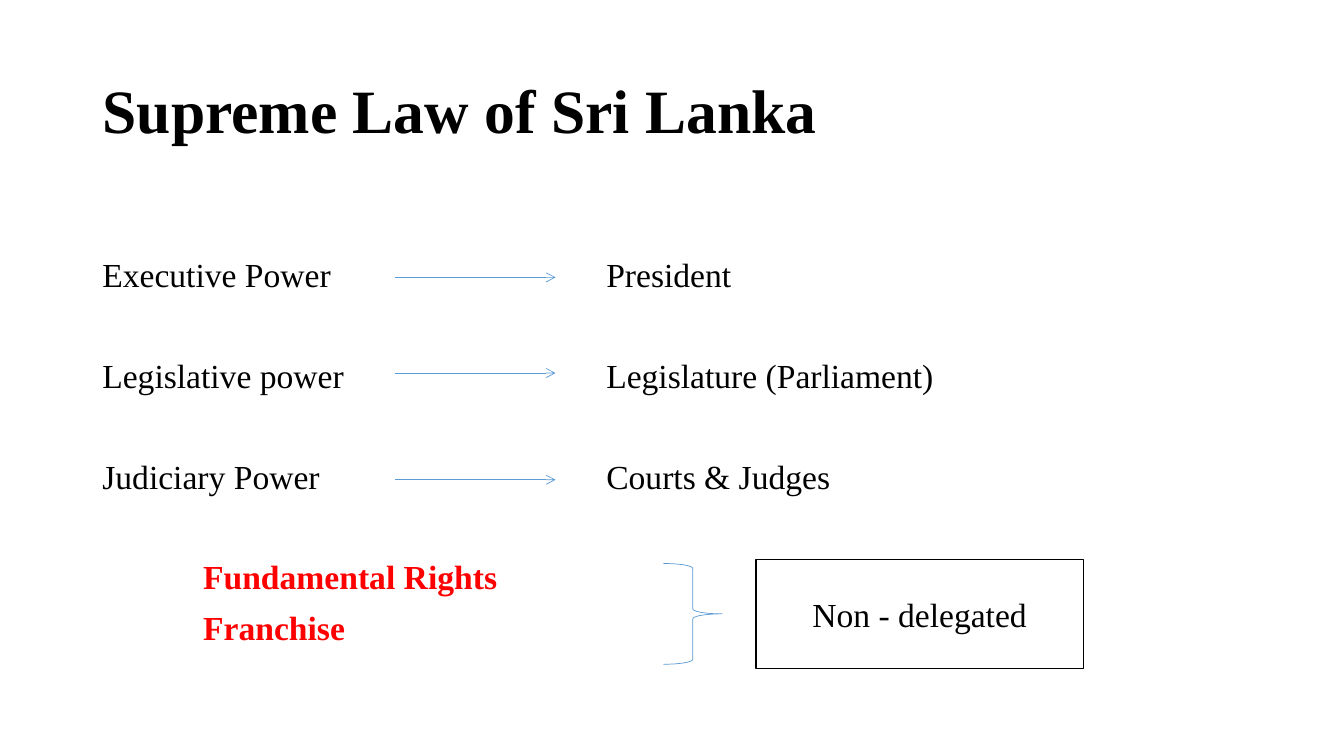
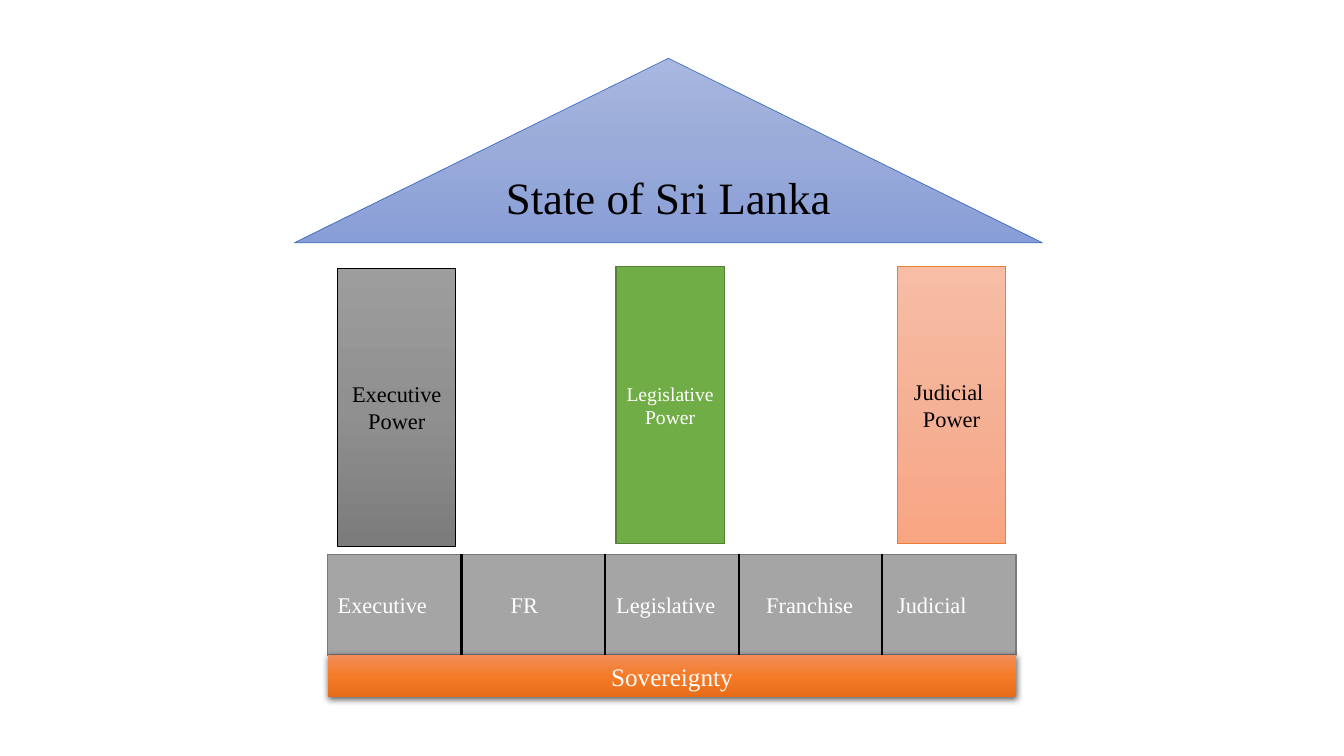
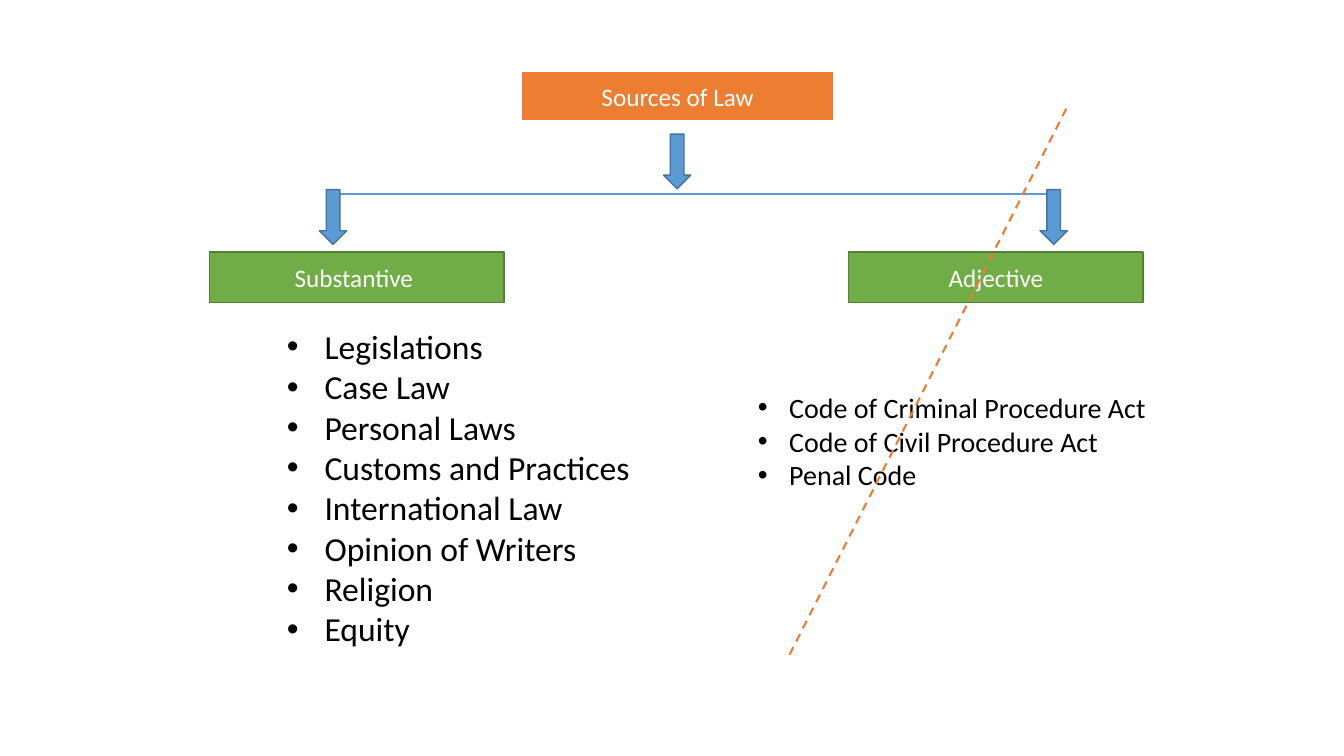
from copy import deepcopy

from lxml import etree
from pptx import Presentation
from pptx.dml.color import RGBColor
from pptx.enum import dml, shapes, text
from pptx.oxml.ns import qn
from pptx.util import Cm, Pt

COLORS = {
    "black": "000000", "white": "FFFFFF", "red": "FF0000",
    "blue": "5B9BD5", "blue_edge": "43739E", "roof_edge": "4472C4",
    "green": "70AD47", "green_edge": "538035", "orange": "ED7D31",
    "gray": "A5A5A5", "gray_edge": "7A7A7A",
}
GRADIENTS = {
    "executive": ("9D9D9D", "909090", "7C7C7C"),
    "judicial": ("F7BDA5", "F5B196", "F8A582"),
    "roof": ("A8B7DF", "9AABD9", "889ED7"),
    "sovereignty": ("F18C57", "F67B28", "E56C19"),
}
SERIF, SANS = "Times New Roman", "Calibri"
SHAPE = shapes.MSO_SHAPE
LEFT, CENTER = text.PP_ALIGN.LEFT, text.PP_ALIGN.CENTER
TOP, MIDDLE = text.MSO_ANCHOR.TOP, text.MSO_ANCHOR.MIDDLE


def style(sp, content="", font=SERIF, size=18, color="white", bold=False,
          align=CENTER, anchor=MIDDLE, spacing=None, hanging=0, tabs=(),
          fill=None, edge=None, weight=1):
    """Fill and outline a shape and write one paragraph per line of content.

    hanging is the bullet indent and tabs are the tab stops, both in cm.
    """
    sp.shadow.inherit = False
    if fill in GRADIENTS:
        sp.fill.gradient()
        sp.fill.gradient_angle = 270
        gs_lst = sp._element.spPr.find(".//" + qn("a:gsLst"))
        gs_lst.append(deepcopy(gs_lst[-1]))
        for i, stop in enumerate(sp.fill.gradient_stops):
            stop.position = i / 2
            stop.color.rgb = RGBColor.from_string(GRADIENTS[fill][i])
    elif fill:
        sp.fill.solid()
        sp.fill.fore_color.rgb = RGBColor.from_string(COLORS[fill])
    else:
        sp.fill.background()
    if edge:
        sp.line.color.rgb = RGBColor.from_string(COLORS[edge])
        sp.line.width = Pt(weight)
    else:
        sp.line.fill.background()

    tf = sp.text_frame
    tf.word_wrap = True
    tf.auto_size = text.MSO_AUTO_SIZE.NONE
    tf.vertical_anchor = anchor
    for i, line in enumerate(content.split("\n")):
        p = tf.add_paragraph() if i else tf.paragraphs[0]
        p.alignment = align
        if spacing:
            p.line_spacing = spacing
        pPr = p._p.get_or_add_pPr()
        if hanging:
            pPr.set("marL", str(Cm(hanging)))
            pPr.set("indent", str(-Cm(hanging)))
            etree.SubElement(pPr, qn("a:buFont"), typeface="Arial")
            etree.SubElement(pPr, qn("a:buChar"), char="•")
        if tabs:
            tab_lst = etree.SubElement(pPr, qn("a:tabLst"))
            for pos in tabs:
                etree.SubElement(tab_lst, qn("a:tab"), pos=str(Cm(pos)), algn="l")
        if line:
            r = p.add_run()
            r.text = line
            r.font.name, r.font.size, r.font.bold = font, Pt(size), bold
            r.font.color.rgb = RGBColor.from_string(COLORS[color])
    return tf


def connect(s, x1, y1, x2, y2, color, weight, arrow=False, dash=False):
    """Draw a straight line between two points given in cm."""
    c = s.shapes.add_connector(shapes.MSO_CONNECTOR.STRAIGHT,
                               Cm(x1), Cm(y1), Cm(x2), Cm(y2))
    c.line.color.rgb = RGBColor.from_string(COLORS[color])
    c.line.width = Pt(weight)
    if dash:
        c.line.dash_style = dml.MSO_LINE.DASH
    spPr = c._element.spPr
    if arrow:
        etree.SubElement(spPr.find(qn("a:ln")), qn("a:tailEnd"), type="arrow")
    etree.SubElement(spPr, qn("a:effectLst"))


prs = Presentation()
prs.slide_width, prs.slide_height = Cm(33.87), Cm(19.05)
title_only, blank = prs.slide_layouts[5], prs.slide_layouts[6]

# Slide 1: who holds each power
s = prs.slides.add_slide(title_only)
title = s.shapes.title
title.left, title.top, title.width, title.height = Cm(2.33), Cm(1.02), Cm(29.21), Cm(3.68)
style(title, "Supreme Law of Sri Lanka", size=44, color="black", bold=True,
      align=LEFT, spacing=0.9)

powers = s.shapes.add_textbox(Cm(2.33), Cm(6.4), Cm(29.21), Cm(10.5))
tf = style(powers, "Executive Power\tPresident\n"
                   "Legislative power\tLegislature (Parliament)\n"
                   "Judiciary Power\tCourts & Judges\n"
                   "Fundamental Rights\nFranchise",
           size=24, color="black", align=LEFT, anchor=TOP, spacing=0.9, tabs=[12.7])
for p, gap in zip(tf.paragraphs[1:], (46, 46, 46, 10)):
    p.space_before = Pt(gap)
for p in tf.paragraphs[3:]:
    p._p.get_or_add_pPr().set("marL", str(Cm(2.54)))
    p.runs[0].font.bold = True
    p.runs[0].font.color.rgb = RGBColor.from_string(COLORS["red"])

sp = s.shapes.add_shape(SHAPE.RECTANGLE, Cm(19.05), Cm(14.1), Cm(8.25), Cm(2.74))
style(sp, "Non - delegated", size=24, color="black", fill="white", edge="black")
brace = s.shapes.add_shape(SHAPE.RIGHT_BRACE, Cm(16.72), Cm(14.2), Cm(1.48), Cm(2.54))
style(brace, edge="blue", weight=0.5)
for y in (6.99, 9.4, 12.09):
    connect(s, 9.96, y, 14, y, "blue", 0.5, arrow=True)

# Slide 2: the state as a building
s = prs.slides.add_slide(blank)
for x, y, w, label, size, color, fill, edge, weight in (
    (8.51, 6.77, 2.98, "Executive\nPower", 16, "black", "executive", "black", 0.5),
    (15.52, 6.71, 2.74, "Legislative\nPower", 14, "white", "green", "green_edge", 1),
    (22.61, 6.71, 2.74, "Judicial \nPower", 16, "black", "judicial", "orange", 0.5),
):
    pillar = s.shapes.add_shape(SHAPE.RECTANGLE, Cm(x), Cm(y), Cm(w), Cm(6.99))
    style(pillar, label, size=size, color=color, fill=fill, edge=edge, weight=weight)

roof = s.shapes.add_shape(SHAPE.ISOSCELES_TRIANGLE, Cm(7.42), Cm(1.47), Cm(18.85), Cm(4.65))
style(roof, "State of Sri Lanka", size=32, color="black", fill="roof",
      edge="roof_edge", weight=0.5)

base = s.shapes.add_shape(SHAPE.RECTANGLE, Cm(8.26), Cm(13.97), Cm(17.35), Cm(2.54))
style(base, "Executive\tFR\tLegislative\tFranchise\tJudicial", size=16, align=LEFT,
      tabs=(4.36, 7.02, 10.8, 14.1), fill="gray", edge="gray_edge")
for x in (11.63, 15.24, 18.62, 22.23):
    connect(s, x, 13.97, x, 16.51, "black", 1.5)

ground = s.shapes.add_shape(SHAPE.RECTANGLE, Cm(8.26), Cm(16.51), Cm(17.35), Cm(1.06))
style(ground, "Sovereignty", fill="sovereignty")
shadow = etree.SubElement(ground._element.spPr.find(qn("a:effectLst")), qn("a:outerShdw"),
                          blurRad=str(Pt(4.5)), dist=str(Pt(1.5)), dir="5400000",
                          algn="ctr", rotWithShape="0")
shadow_color = etree.SubElement(shadow, qn("a:srgbClr"), val=COLORS["black"])
etree.SubElement(shadow_color, qn("a:alpha"), val="63000")

# Slide 3: sources of law
s = prs.slides.add_slide(blank)
connect(s, 8.26, 4.88, 26.47, 4.88, "blue", 1.5)
for x, y in ((16.72, 3.38), (8.05, 4.78), (26.21, 4.78)):
    arrow = s.shapes.add_shape(SHAPE.DOWN_ARROW, Cm(x), Cm(y), Cm(0.69), Cm(1.38))
    style(arrow, fill="blue", edge="blue_edge")

for x, y, w, h, label, fill, edge, weight in (
    (13.13, 1.8, 7.9, 1.24, "Sources of Law", "orange", "white", 1.5),
    (5.28, 6.35, 7.42, 1.27, "Substantive ", "green", "green_edge", 1),
    (21.39, 6.35, 7.42, 1.27, "Adjective", "green", "green_edge", 1),
):
    sp = s.shapes.add_shape(SHAPE.RECTANGLE, Cm(x), Cm(y), Cm(w), Cm(h))
    style(sp, label, font=SANS, fill=fill, edge=edge, weight=weight)

for x, y, w, h, size, hanging, items in (
    (6.98, 8.05, 9.73, 8.46, 24, 0.95,
     "Legislations\nCase Law\nPersonal Laws\nCustoms and Practices\n"
     "International Law\nOpinion of Writers\nReligion\nEquity"),
    (18.85, 8.89, 10.59, 4.44, 20, 0.79,
     "Code of Criminal Procedure Act\nCode of Civil Procedure Act\nPenal Code"),
):
    sp = s.shapes.add_shape(SHAPE.RECTANGLE, Cm(x), Cm(y), Cm(w), Cm(h))
    style(sp, items, font=SANS, size=size, color="black", align=LEFT,
          hanging=hanging, fill="white")
connect(s, 26.87, 2.74, 19.89, 16.51, "orange", 1.5, dash=True)

prs.save("out.pptx")
